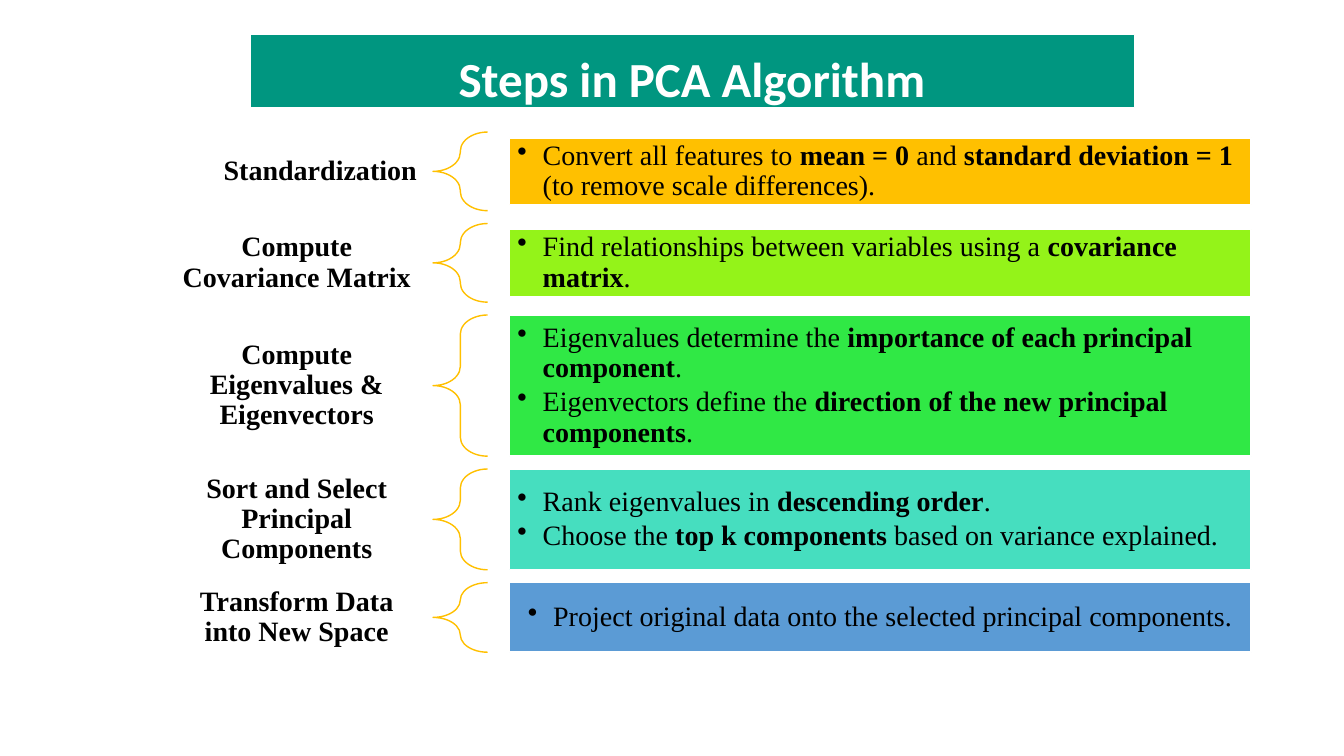
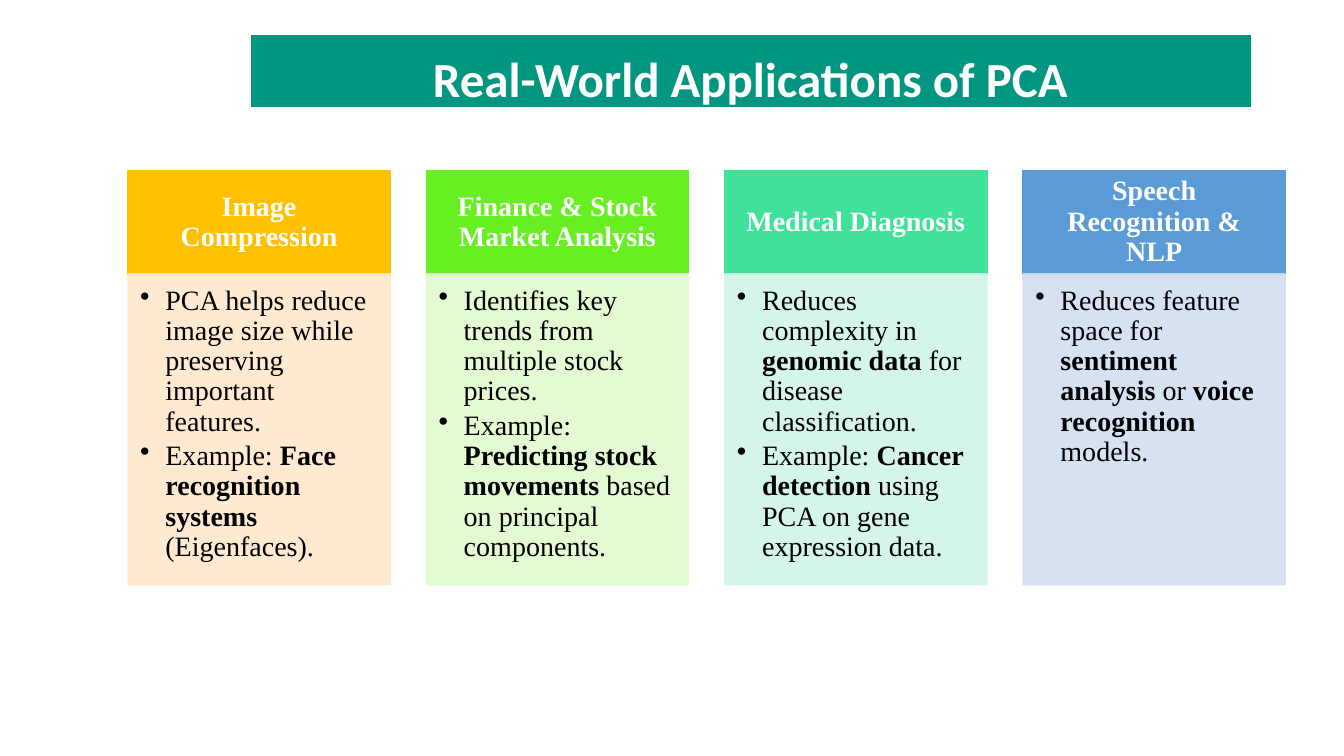
from lxml.etree import SubElement
from pptx import Presentation
from pptx.dml.color import RGBColor
from pptx.enum.shapes import MSO_SHAPE
from pptx.enum.text import MSO_ANCHOR, MSO_AUTO_SIZE, PP_ALIGN
from pptx.oxml.ns import qn
from pptx.util import Inches, Pt

WIDE, HIGH = 13.33, 7.5
TEAL, WHITE, BLACK, GOLD, BLUE = "009680", "FFFFFF", "000000", "FFC000", "5B9BD5"
LEFT, MID, RIGHT = PP_ALIGN.LEFT, PP_ALIGN.CENTER, PP_ALIGN.RIGHT

# label, label align, height, card share, colour, card align, bullets
STEPS = [
    ("Standardization", RIGHT, 10.4, 0.85, GOLD, LEFT,
     ["Convert all features to **mean = 0** and **standard deviation = 1** "
      "(to remove scale differences)."]),
    ("Compute Covariance Matrix", MID, 10.4, 0.85, "94F319", LEFT,
     ["Find relationships between variables using a **covariance matrix**."]),
    ("Compute Eigenvalues & Eigenvectors", MID, 18.67, 1, "30E845", LEFT,
     ["Eigenvalues determine the **importance of each principal component**.",
      "Eigenvectors define the **direction of the new principal components**."]),
    ("Sort and Select Principal Components", MID, 13.33, 1, "46DEBF", LEFT,
     ["Rank eigenvalues in **descending order**.",
      "Choose the **top k components** based on variance explained."]),
    ("Transform Data into New Space", MID, 9.2, 1, BLUE, MID,
     ["Project original data onto the selected principal components."]),
]

# heading, head colour, body colour, bullets
USES = [
    ("Image Compression", GOLD, "FFE8CC",
     ["PCA helps reduce image size while preserving important features.",
      "Example: **Face recognition systems** (Eigenfaces)."]),
    ("Finance & Stock Market Analysis", "67EF21", "E1FACE",
     ["Identifies key trends from multiple stock prices.",
      "Example: **Predicting stock movements** based on principal components."]),
    ("Medical Diagnosis", "3FE19B", "D0F5E5",
     ["Reduces complexity in **genomic data** for disease classification.",
      "Example: **Cancer detection** using PCA on gene expression data."]),
    ("Speech Recognition & NLP", BLUE, "D2DFF0",
     ["Reduces feature space for **sentiment analysis** or **voice recognition** models."]),
]


def rgb(code):
    return RGBColor.from_string(code)


def place(box):
    """Turn a box in percent of the slide into lengths."""
    x, y, w, h = box
    return (Inches(x * WIDE / 100), Inches(y * HIGH / 100),
            Inches(w * WIDE / 100), Inches(h * HIGH / 100))


def part(box, x, y, w, h):
    """Cut a box out of another by shares of its size."""
    return box[0] + x * box[2], box[1] + y * box[3], w * box[2], h * box[3]


def paint(shape, fill, line, alpha=None):
    shape.line.width = Pt(1)
    shape.line.color.rgb = rgb(line)
    if fill is None:
        shape.fill.background()
    else:
        shape.fill.solid()
        shape.fill.fore_color.rgb = rgb(fill)
    if alpha:
        for tint in shape._element.spPr.iter(qn("a:srgbClr")):
            SubElement(tint, qn("a:alpha"), val=str(alpha * 1000))


def draw(slide, kind, box, fill, line, alpha=None):
    shape = slide.shapes.add_shape(kind, *place(box))
    shape.shadow.inherit = False
    paint(shape, fill, line, alpha)
    return shape


def write(shape, lines, size=20, font="Times New Roman", color=BLACK, bold=False,
          align=LEFT, anchor=MSO_ANCHOR.MIDDLE, pad=(0.08,) * 4, bullet=False):
    """Fill a shape with text; ** marks bold words, pad is left, top, right, bottom."""
    frame = shape.text_frame
    frame.word_wrap = True
    frame.auto_size = MSO_AUTO_SIZE.NONE
    frame.vertical_anchor = anchor
    (frame.margin_left, frame.margin_top,
     frame.margin_right, frame.margin_bottom) = map(Inches, pad)
    for i, line in enumerate(lines):
        para = frame.add_paragraph() if i else frame.paragraphs[0]
        para.alignment = align
        para.line_spacing = 0.9
        para.space_before = Pt(0)
        if bullet:
            para.space_after = Pt(size * 0.15)
            props = para._p.get_or_add_pPr()
            props.set("marL", str(Inches(0.25)))
            props.set("indent", str(Inches(-0.25)))
            SubElement(props, qn("a:buChar"), char="•")
        for k, words in enumerate(line.split("**")):
            if not words:
                continue
            run = para.add_run()
            run.text = words
            run.font.size = Pt(size)
            run.font.name = font
            run.font.bold = bold or k % 2 == 1
            run.font.color.rgb = rgb(color)


def start(deck, title, width):
    """Add a slide with its title band."""
    slide = deck.slides.add_slide(deck.slide_layouts[5])
    band = slide.shapes.title
    band.left, band.top, band.width, band.height = place((18.6, 4.53, width, 9.73))
    paint(band, TEAL, WHITE)
    write(band, [title], size=35, font="Calibri", color=WHITE, bold=True,
          align=MID, pad=(0.05, 0.22, 0.05, 0))
    return slide


def step(slide, box, label, side, share, color, align, items):
    """Place a label, a brace and a card in one row."""
    name = slide.shapes.add_textbox(*place(part(box, 0, 0, 0.25, 1)))
    write(name, [label], bold=True, align=side, pad=(0.16, 0.06, 0.16, 0.06))
    brace = draw(slide, MSO_SHAPE.LEFT_BRACE, part(box, 0.25, 0, 0.05, 1), None, GOLD)
    brace.adjustments[0] = 0.35
    card = draw(slide, MSO_SHAPE.RECTANGLE,
                part(box, 0.32, (1 - share) / 2, 0.68, share), color, WHITE)
    write(card, items, align=align, bullet=True)


def column(slide, box, label, dark, pale, items):
    """Place a heading over a list."""
    head = draw(slide, MSO_SHAPE.RECTANGLE, part(box, 0, 0, 1, 0.25), dark, dark)
    write(head, [label], color=WHITE, bold=True, align=MID, pad=(0.16, 0.09, 0.16, 0.09))
    body = draw(slide, MSO_SHAPE.RECTANGLE, part(box, 0, 0.25, 1, 0.75), pale, pale, 90)
    write(body, items, anchor=MSO_ANCHOR.TOP, pad=(0.12, 0.12, 0.16, 0.17), bullet=True)


def main():
    deck = Presentation()
    deck.slide_width, deck.slide_height = Inches(WIDE), Inches(HIGH)

    slide = start(deck, "Steps in PCA Algorithm", 65.8)
    top, gap = 17.47, 1.7
    for label, side, tall, *rest in STEPS:
        step(slide, (11.93, top, 81.17, tall), label, side, *rest)
        top += tall + gap

    slide = start(deck, "Real-World Applications of PCA", 74.5)
    for i, use in enumerate(USES):
        column(slide, (9.53 + i * 22.2, 22.53, 19.5, 54.8), *use)

    deck.save("out.pptx")


if __name__ == "__main__":
    main()
